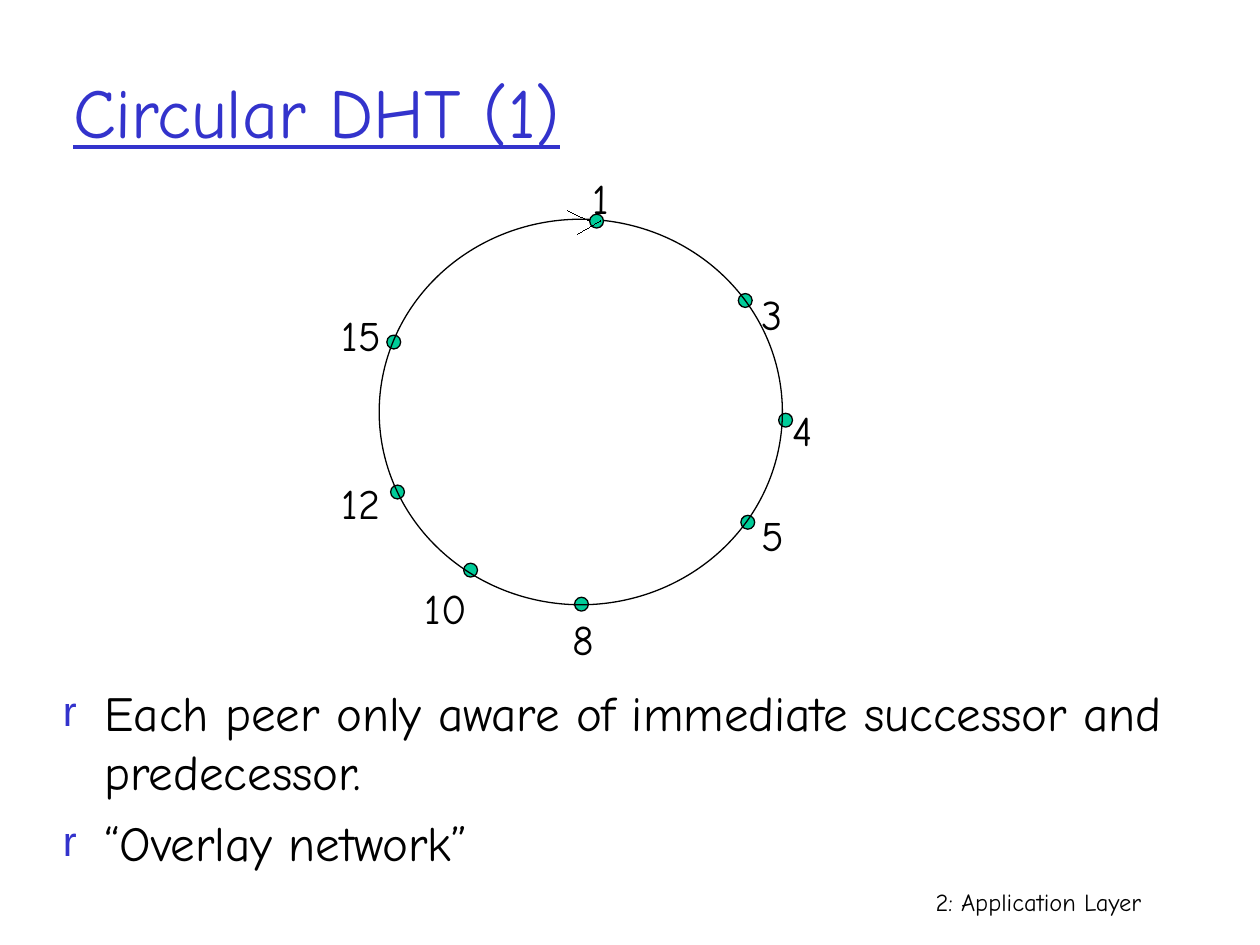
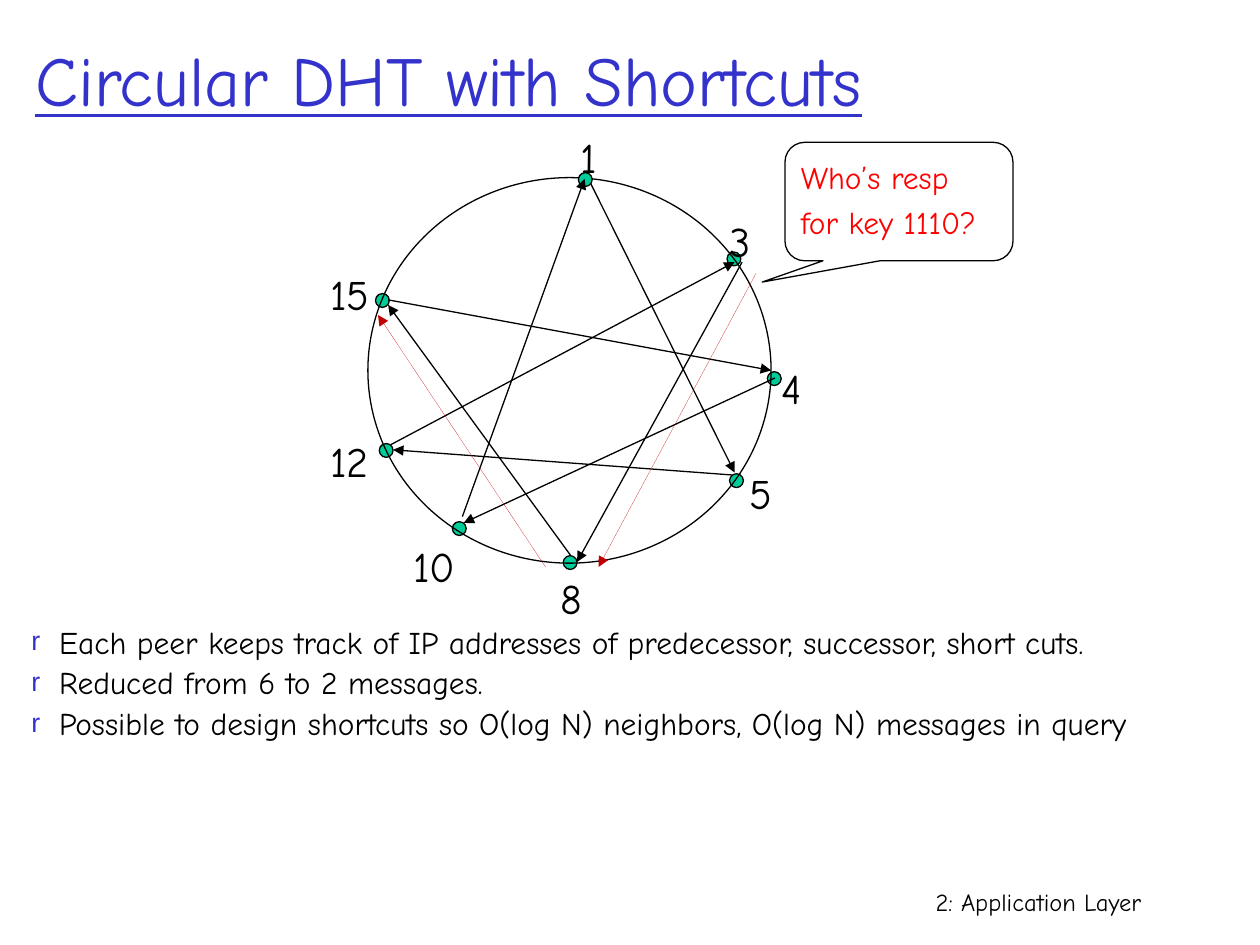
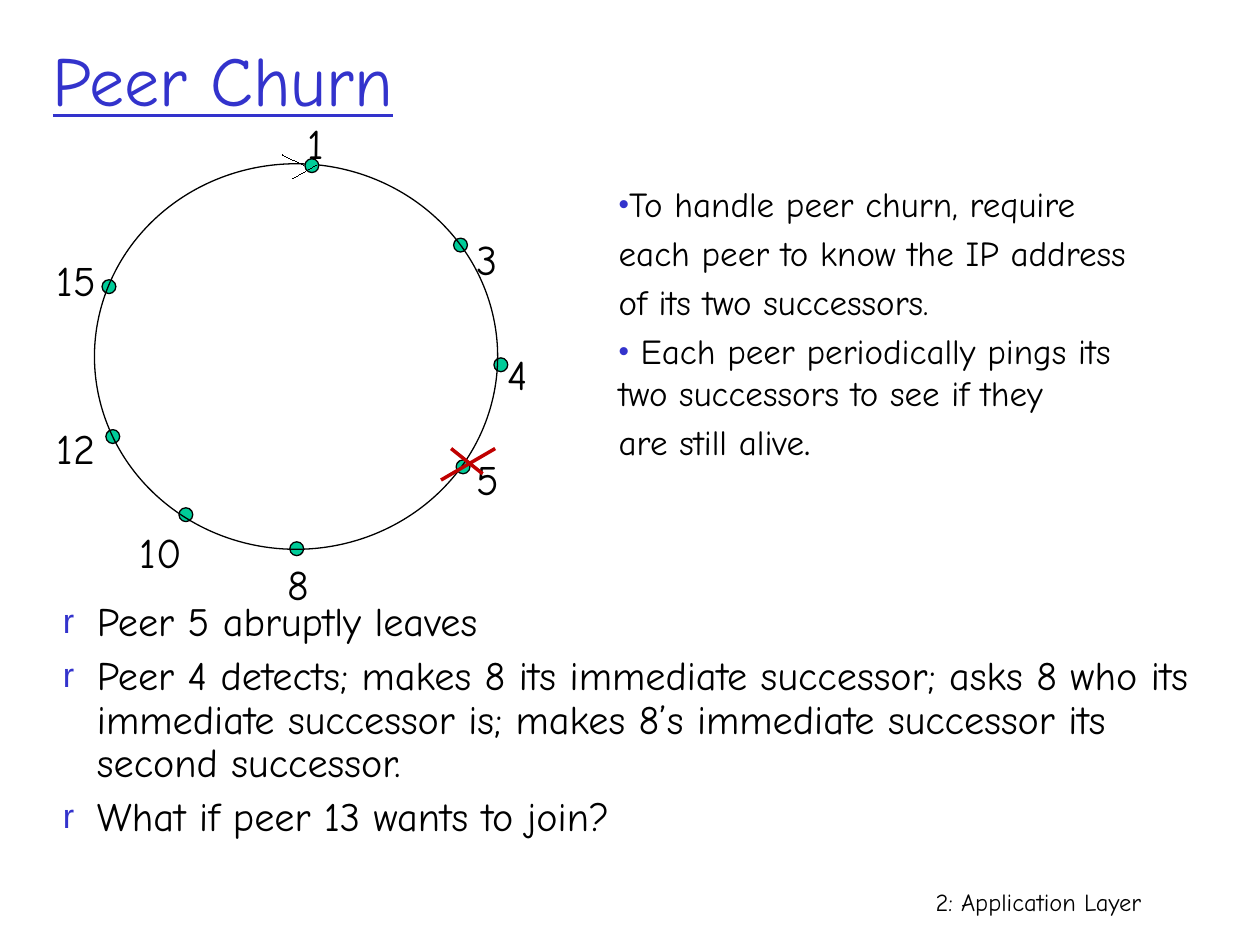
from lxml import etree
from pptx import Presentation
from pptx import util as u
from pptx.dml.color import RGBColor
from pptx.enum import shapes, text
from pptx.oxml import ns

BLUE = RGBColor(0x33, 0x33, 0xCC)
GREEN = RGBColor(0x00, 0xCC, 0x99)
BLACK = RGBColor(0x00, 0x00, 0x00)
RED = RGBColor(0xFF, 0x00, 0x00)
DARK_RED = RGBColor(0xC0, 0x00, 0x00)
WHITE = RGBColor(0xFF, 0xFF, 0xFF)

FONT = "Comic Neue"
BULLET_FONT = "Arial"
TITLE_ONLY = 5
RING_SIZE = (3.2, 3.06)
DOT_SIZE = 0.11

PEER_DOTS = {
    "8": (1.55, 3.0), "15": (0.06, 0.92), "12": (0.09, 2.11), "3": (2.85, 0.59),
    "4": (3.17, 1.54), "5": (2.87, 2.35), "10": (0.67, 2.73), "1": (1.67, -0.04),
}
PEER_LABELS = {
    "1": (1.65, -0.41), "3": (2.99, 0.51), "4": (3.24, 1.43), "5": (2.99, 2.26),
    "8": (1.49, 3.09), "10": (0.32, 2.84), "12": (-0.34, 2.01), "15": (-0.34, 0.68),
}
DIRECTION_MARK = [((1.49, -0.07), (1.66, 0.01)), ((1.76, 0.01), (1.57, 0.12))]
SHORTCUTS = [
    ((3.23, 1.59), (0.76, 2.74)), ((2.89, 2.36), (0.2, 2.16)),
    ((1.61, 3.0), (0.16, 1.01)), ((0.75, 2.69), (1.72, 0.01)),
    ((0.18, 2.12), (2.91, 0.67)), ((0.16, 0.97), (3.2, 1.53)),
    ((1.77, 0.05), (2.91, 2.34)), ((2.97, 0.67), (1.66, 3.05)),
]
QUERY_ROUTE = [((3.08, 0.76), (1.83, 3.09)), ((1.41, 3.09), (0.08, 1.09))]
LEAVING_CROSS = [((2.83, 2.26), (3.08, 2.46)), ((3.18, 2.26), (2.75, 2.51))]


def inches(*values):
    return [u.Inches(value) for value in values]


def add_bullet(paragraph, character, indent):
    properties = paragraph._p.get_or_add_pPr()
    if indent:
        properties.set("marL", str(u.Inches(indent)))
        properties.set("indent", str(-u.Inches(indent)))
    color = etree.SubElement(properties, ns.qn("a:buClr"))
    etree.SubElement(color, ns.qn("a:srgbClr"), val=str(BLUE))
    etree.SubElement(properties, ns.qn("a:buSzPct"), val="85000")
    etree.SubElement(properties, ns.qn("a:buFont"), typeface=BULLET_FONT)
    etree.SubElement(properties, ns.qn("a:buChar"), char=character)


def format_run(run, size, color, underline=None):
    run.font.name = FONT
    run.font.size = u.Pt(size)
    run.font.color.rgb = color
    run.font.underline = underline


def write_text(frame, lines, size, color=BLACK, margin=0.04, wrap=True, align=text.PP_ALIGN.LEFT,
               anchor=text.MSO_ANCHOR.TOP, underline=None, before=0, first_before=None,
               line_spacing=None, bullet=None, bulleted=None, indent=0):
    frame.word_wrap = wrap
    frame.auto_size = text.MSO_AUTO_SIZE.NONE
    frame.vertical_anchor = anchor
    frame.margin_left = frame.margin_right = u.Inches(margin)
    frame.margin_top = frame.margin_bottom = u.Inches(margin)
    for index, line in enumerate(lines):
        paragraph = frame.paragraphs[0] if index == 0 else frame.add_paragraph()
        paragraph.text = line
        paragraph.alignment = align
        is_first = index == 0 and first_before is not None
        paragraph.space_before = u.Pt(first_before if is_first else before)
        if line_spacing:
            paragraph.line_spacing = line_spacing
        if bullet and (bulleted is None or index in bulleted):
            add_bullet(paragraph, bullet, indent)
        for run in paragraph.runs:
            format_run(run, size, color, underline)


def add_text(slide, box, lines, **style):
    shape = slide.shapes.add_textbox(*inches(*box))
    write_text(shape.text_frame, lines, **style)
    return shape


def add_outlined(slide, kind, box, fill=None):
    shape = slide.shapes.add_shape(kind, *inches(*box))
    shape.shadow.inherit = False
    if fill is None:
        shape.fill.background()
    else:
        shape.fill.solid()
        shape.fill.fore_color.rgb = fill
    shape.line.color.rgb = BLACK
    shape.line.width = u.Pt(0.75)
    return shape


def add_lines(slide, origin, segments, color=BLACK, width=None, arrow=False):
    left, top = origin
    for (x1, y1), (x2, y2) in segments:
        connector = slide.shapes.add_connector(
            shapes.MSO_CONNECTOR.STRAIGHT, *inches(left + x1, top + y1, left + x2, top + y2))
        connector._element.remove(connector._element.find(ns.qn("p:style")))
        connector.line.color.rgb = color
        if width:
            connector.line.width = u.Pt(width)
        if arrow:
            etree.SubElement(connector.line._get_or_add_ln(), ns.qn("a:tailEnd"), type="triangle")
        etree.SubElement(connector._element.spPr, ns.qn("a:effectLst"))


def add_ring(slide, origin, moved_labels=None):
    left, top = origin

    def add_dot(peer):
        x, y = PEER_DOTS[peer]
        add_outlined(slide, shapes.MSO_SHAPE.OVAL, (left + x, top + y, DOT_SIZE, DOT_SIZE), GREEN)

    for peer in PEER_DOTS:
        if peer != "1":
            add_dot(peer)
    add_outlined(slide, shapes.MSO_SHAPE.OVAL, (left, top, *RING_SIZE))
    for peer, (x, y) in {**PEER_LABELS, **(moved_labels or {})}.items():
        width = 0.45 if len(peer) > 1 else 0.25 if peer == "1" else 0.3
        add_text(slide, (left + x, top + y, width, 0.54), [peer], size=24, before=5, wrap=False)
    add_dot("1")


def add_body(slide, box, lines, **style):
    add_text(slide, box, lines, margin=0, first_before=0, bullet="r", **style)


def add_callout(slide, box, lines):
    callout = add_outlined(slide, shapes.MSO_SHAPE.ROUNDED_RECTANGULAR_CALLOUT, box)
    callout.adjustments[0] = -0.6
    callout.adjustments[1] = 0.68
    write_text(callout.text_frame, lines, size=18, color=RED, margin=0.08, before=4)


def add_titled_slide(presentation, title, box):
    slide = presentation.slides.add_slide(presentation.slide_layouts[TITLE_ONLY])
    slide.background.fill.solid()
    slide.background.fill.fore_color.rgb = WHITE
    placeholder = slide.shapes.title
    placeholder.left, placeholder.top, placeholder.width, placeholder.height = inches(*box)
    write_text(placeholder.text_frame, [title], size=40, color=BLUE, margin=0,
               anchor=text.MSO_ANCHOR.MIDDLE, underline=True)
    add_text(slide, (5.92, 7, 3.18, 0.35), ["2: Application Layer"], size=14,
             align=text.PP_ALIGN.RIGHT)
    return slide


def build_circular_dht(presentation):
    slide = add_titled_slide(presentation, "Circular DHT (1)", (0.58, 0, 8.5, 1.75))
    ring = (3.01, 1.74)
    add_ring(slide, ring)
    add_lines(slide, ring, DIRECTION_MARK)
    add_body(slide, (0.5, 5.42, 9, 2.08), [
        "Each peer only aware of immediate successor and predecessor.",
        "“Overlay network”",
    ], size=28, before=7, indent=0.33)


def build_shortcuts(presentation):
    slide = add_titled_slide(presentation, "Circular DHT with Shortcuts", (0.28, 0, 9, 1.25))
    ring = (2.92, 1.41)
    add_body(slide, (0.25, 5, 9, 1.83), [
        "Each peer keeps track of IP addresses of predecessor, successor, short cuts.",
        "Reduced from 6 to 2 messages.",
        "Possible to design shortcuts so O(log N) neighbors, O(log N) messages in query",
    ], size=18, before=6, line_spacing=0.8, indent=0.22)
    add_ring(slide, ring, {"3": (2.83, 0.26)})
    add_lines(slide, ring, SHORTCUTS, width=0.75, arrow=True)
    add_lines(slide, ring, QUERY_ROUTE, color=DARK_RED, arrow=True)
    add_callout(slide, (6.23, 1.13, 1.81, 0.94), ["Who’s resp", "for key 1110?"])


def build_peer_churn(presentation):
    slide = add_titled_slide(presentation, "Peer Churn", (0.42, 0, 9, 1.25))
    ring = (0.75, 1.3)
    add_body(slide, (0.5, 4.78, 9, 2.33), [
        "Peer 5 abruptly leaves",
        "Peer 4 detects; makes 8 its immediate successor; asks 8 who its immediate "
        "successor is; makes 8’s immediate successor its second successor.",
        "What if peer 13 wants to join?",
    ], size=23, before=6, line_spacing=0.9, indent=0.27)
    add_ring(slide, ring)
    add_lines(slide, ring, DIRECTION_MARK)
    add_lines(slide, ring, LEAVING_CROSS, color=DARK_RED, width=2)
    notes = add_text(slide, (4.87, 1.41, 4.54, 2.65), [
        "To handle peer churn, require",
        "each peer to know the IP address",
        "of its two successors.",
        " Each peer periodically pings its \vtwo successors to see if they \vare still alive",
    ], size=20, before=4, wrap=False, bullet="•", bulleted=(0, 3))
    period = notes.text_frame.paragraphs[-1].add_run()
    period.text = "."
    format_run(period, 24, BLACK)


def main():
    presentation = Presentation()
    presentation.slide_width, presentation.slide_height = inches(10, 7.5)
    build_circular_dht(presentation)
    build_shortcuts(presentation)
    build_peer_churn(presentation)
    presentation.save("out.pptx")


if __name__ == "__main__":
    main()
